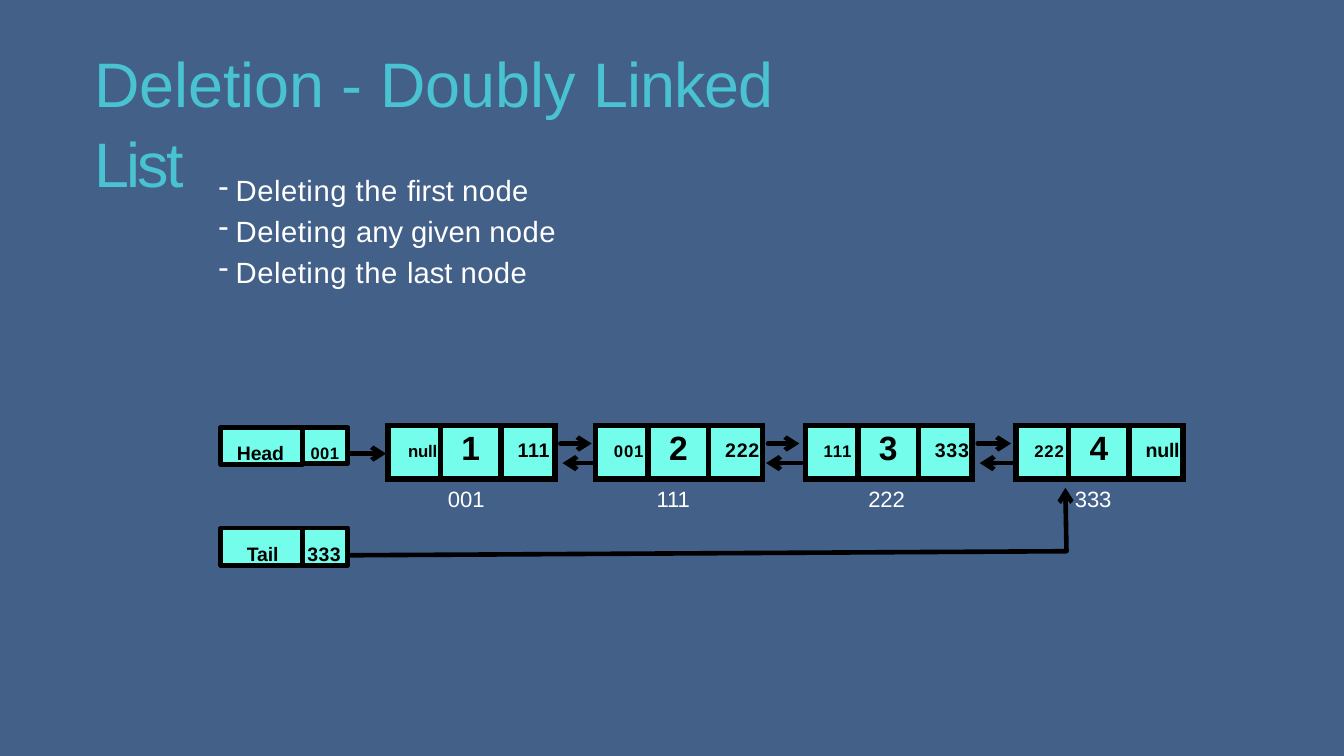
from lxml.etree import SubElement
from pptx import Presentation
from pptx.dml.color import RGBColor
from pptx.enum.shapes import MSO_CONNECTOR, MSO_SHAPE
from pptx.enum.text import MSO_ANCHOR, PP_ALIGN
from pptx.oxml.ns import qn
from pptx.util import Pt

BACKGROUND, TITLE, WHITE, BLACK, AQUA = "436089", "49C3D2", "FFFFFF", "000000", "73FDEA"
LINE_WIDTH = 3.3
BORDER_WIDTH = 4.5
COLUMN_WIDTHS = (37.5, 43.2, 38.5)
NODE_TOP, NODE_HEIGHT = 304, 38
FORWARD_Y, BACK_Y = 316.8, 330.8


def color(hex_string):
    return RGBColor.from_string(hex_string)


def paint(fill, hex_string):
    fill.solid()
    fill.fore_color.rgb = color(hex_string)


def write(paragraph, *runs, size, fill=BLACK, bold=False, align=PP_ALIGN.LEFT, before=0,
          line_spacing=None, bullet=None, indent=0):
    paragraph.alignment = align
    paragraph.space_before = Pt(before)
    if line_spacing:
        paragraph.line_spacing = line_spacing
    if bullet:
        properties = paragraph._p.get_or_add_pPr()
        properties.set("marL", str(Pt(indent)))
        properties.set("indent", str(-Pt(indent)))
        SubElement(properties, qn("a:buChar")).set("char", bullet)
    for text, spacing in runs:
        run = paragraph.add_run()
        run.text = text
        run.font.name = "Arial"
        run.font.size = Pt(size)
        run.font.bold = bold
        run.font.color.rgb = color(fill)
        run._r.get_or_add_rPr().set("spc", str(round(spacing * 100)))


def set_insets(target, left, top):
    target.margin_left, target.margin_top = Pt(left), Pt(top)
    target.margin_right = target.margin_bottom = 0
    target.vertical_anchor = MSO_ANCHOR.TOP


def add_text_box(slide, left, top, width, height, inset_left=0, inset_top=0):
    frame = slide.shapes.add_textbox(Pt(left), Pt(top), Pt(width), Pt(height)).text_frame
    frame.word_wrap = True
    set_insets(frame, inset_left, inset_top)
    return frame


def add_pointer_box(slide, left, top, width, height, text, size, inset_left, inset_top, spacing):
    shape = slide.shapes.add_shape(MSO_SHAPE.RECTANGLE, Pt(left), Pt(top), Pt(width), Pt(height))
    shape.shadow.inherit = False
    paint(shape.fill, AQUA)
    style_line(shape)
    set_insets(shape.text_frame, inset_left, inset_top)
    write(shape.text_frame.paragraphs[0], (text, spacing), size=size, bold=True)


def style_line(shape, arrow=False):
    shape.line.width = Pt(LINE_WIDTH)
    paint(shape.line.fill, BLACK)
    if arrow:
        line = shape.line._get_or_add_ln()
        line.set("cap", "rnd")
        SubElement(line, qn("a:round"))
        SubElement(line, qn("a:tailEnd")).set("type", "arrow")


def add_arrow(slide, start, end, y):
    connector = slide.shapes.add_connector(
        MSO_CONNECTOR.STRAIGHT, Pt(start), Pt(y), Pt(end), Pt(y))
    style_line(connector, arrow=True)
    SubElement(connector._element.spPr, qn("a:effectLst"))


def add_bent_arrow(slide, points):
    first, *others = [(Pt(x), Pt(y)) for x, y in points]
    builder = slide.shapes.build_freeform(*first)
    builder.add_line_segments(others, close=False)
    shape = builder.convert_to_shape()
    shape.shadow.inherit = False
    shape.fill.background()
    style_line(shape, arrow=True)


def add_borders(cell):
    properties = cell._tc.get_or_add_tcPr()
    for side in ("a:lnL", "a:lnR", "a:lnT", "a:lnB"):
        border = SubElement(properties, qn(side))
        border.set("w", str(Pt(BORDER_WIDTH)))
        solid = SubElement(border, qn("a:solidFill"))
        SubElement(solid, qn("a:srgbClr")).set("val", BLACK)


def add_node(slide, left, previous, value, following):
    table = slide.shapes.add_table(
        1, 3, Pt(left), Pt(NODE_TOP), Pt(sum(COLUMN_WIDTHS)), Pt(NODE_HEIGHT)).table
    table.first_row = table.horz_banding = False
    table.rows[0].height = Pt(NODE_HEIGHT)
    formats = (
        (previous, 12, 14.4 if previous == "null" else 13, 11.7, 0.6, PP_ALIGN.LEFT),
        (value, 24, 0, 3.4, 0, PP_ALIGN.CENTER),
        (following, 14, 11.8, 10.2, 0.5, PP_ALIGN.LEFT),
    )
    for index, (text, size, inset_left, inset_top, spacing, align) in enumerate(formats):
        table.columns[index].width = Pt(COLUMN_WIDTHS[index])
        cell = table.cell(0, index)
        set_insets(cell, inset_left, inset_top)
        add_borders(cell)
        paint(cell.fill, AQUA)
        write(cell.text_frame.paragraphs[0], (text, -0.2 if text == "null" else spacing),
              size=size, bold=True, align=align)


def add_bullets(slide, left, top, width, height, items):
    frame = add_text_box(slide, left, top, width, height, inset_top=4.5)
    for index, runs in enumerate(items):
        paragraph = frame.add_paragraph() if index else frame.paragraphs[0]
        write(paragraph, *runs, size=20.9, fill=WHITE, before=4 if index else 0,
              bullet="-", indent=12.2)


def main():
    presentation = Presentation()
    presentation.slide_width, presentation.slide_height = Pt(960), Pt(540)
    slide = presentation.slides.add_slide(presentation.slide_layouts[6])
    paint(slide.background.fill, BACKGROUND)

    title = add_text_box(slide, 66.2, 28, 557.3, 55.4, inset_left=1, inset_top=1)
    write(title.paragraphs[0], ("Deletion - Doubly ", 0), ("Linked ", -0.7), ("List", -1.8),
          size=44.9, fill=TITLE, line_spacing=1.06)

    add_bullets(slide, 156.2, 118.8, 244, 86.4, [
        [("Deleting the ", 0.4), ("first ", 0), ("node", 0.3)],
        [("Deleting ", 0.4), ("any given ", 0), ("node", 0.3)],
        [("Deleting the ", 0.4), ("last ", 0), ("node", 0.3)],
    ])

    add_pointer_box(slide, 157.7, 305.3, 58.3, 26.6, "Head", 13.9, 11.5, 10.1, -0.1)
    add_pointer_box(slide, 216, 305.3, 32.4, 25.9, "001", 11.8, 5.8, 11.5, 0.4)
    add_pointer_box(slide, 157.7, 377.3, 58.3, 26.6, "Tail", 13.9, 18.7, 10.1, -0.1)
    add_pointer_box(slide, 216, 377.3, 32.4, 26.6, "333", 13.9, 3.6, 10.1, 0.3)

    nodes = [
        (277.2, "null", "1", "111", "001", 319),
        (425.5, "001", "2", "222", "111", 468),
        (575.3, "111", "3", "333", "222", 619.2),
        (725.8, "222", "4", "null", "333", 766.8),
    ]
    for left, previous, value, following, address, address_left in nodes:
        add_node(slide, left, previous, value, following)
        label = add_text_box(slide, address_left, 346, 28.1, 20.2, inset_left=1, inset_top=1)
        write(label.paragraphs[0], (address, -0.1), size=15.8, fill=WHITE)

    add_arrow(slide, 250.6, 275.8, 324)
    add_bent_arrow(slide, [(250.6, 396.7), (761.8, 393.8), (761, 348.5)])
    gaps = [(400.3, 422.6, 424.1, 401.8), (548.6, 571, 572.4, 547.2), (698.4, 722.2, 722.9, 699.8)]
    for forward_start, forward_end, back_start, back_end in gaps:
        add_arrow(slide, forward_start, forward_end, FORWARD_Y)
        add_arrow(slide, back_start, back_end, BACK_Y)

    presentation.save("out.pptx")


if __name__ == "__main__":
    main()
